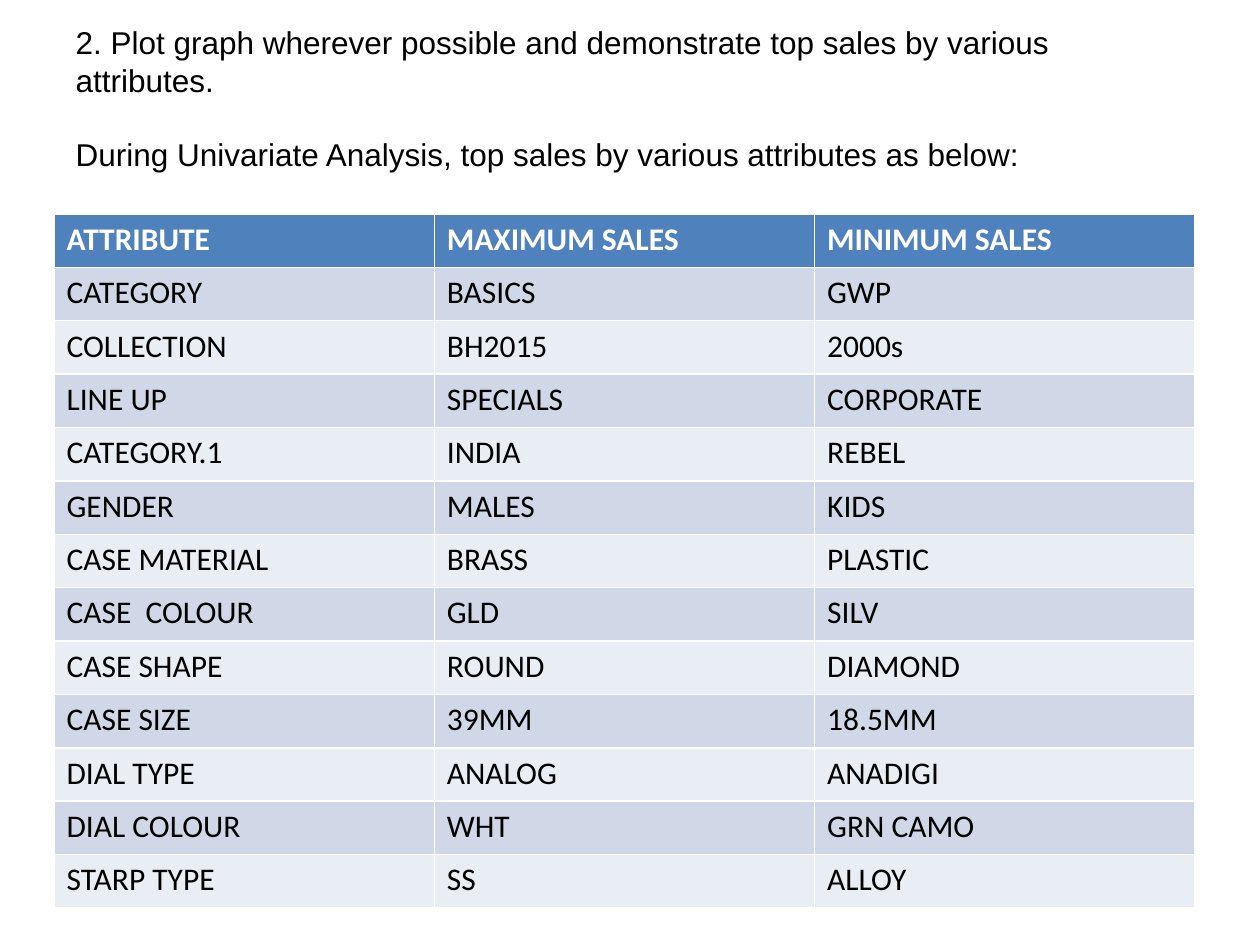
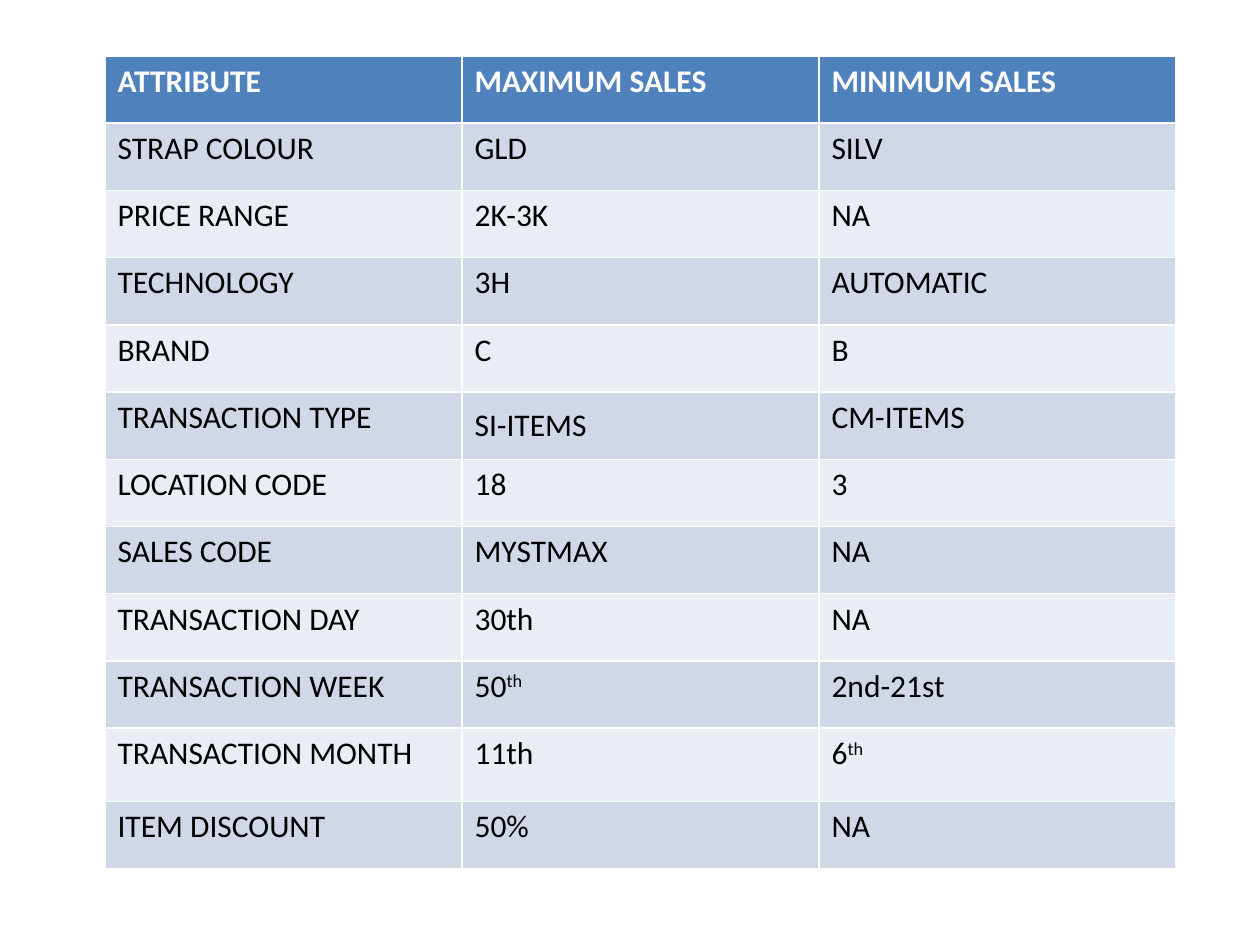
from dataclasses import dataclass
from pptx import Presentation
from pptx.dml.color import RGBColor
from pptx.enum.text import MSO_ANCHOR, MSO_AUTO_SIZE, PP_ALIGN
from pptx.util import Pt

PX = 914400 // 126


@dataclass(frozen=True)
class Theme:
    title_font: str = "Arial"
    table_font: str = "Calibri"
    size: int = 18
    ink: str = "000000"
    header_ink: str = "FFFFFF"
    header_fill: str = "4F81BD"
    bands: tuple = ("E9EDF4", "D0D8E8")


theme = Theme()


def add_run(paragraph, text, font, color, bold=False):
    run = paragraph.add_run()
    run.text = text
    run.font.name = font
    run.font.size = Pt(theme.size)
    run.font.color.rgb = RGBColor.from_string(color)
    run.font.bold = bold
    return run


def add_sales_table(slide, left, top, width, height, records, taller=None, extra=0):
    rows = [("ATTRIBUTE", "MAXIMUM SALES", "MINIMUM SALES")] + records
    table = slide.shapes.add_table(
        len(rows), 3, left * PX, top * PX, width * PX, height * PX).table
    for column in table.columns:
        column.width = width * PX // 3
    for index, record in enumerate(rows):
        header = index == 0
        table.rows[index].height = (height - extra) * PX // len(rows)
        if index == taller:
            table.rows[index].height += extra * PX
        fill = theme.header_fill if header else theme.bands[index % 2]
        ink = theme.header_ink if header else theme.ink
        for cell, value in zip(table.rows[index].cells, record):
            cell.fill.solid()
            cell.fill.fore_color.rgb = RGBColor.from_string(fill)
            base, _, ordinal = value.partition("^")
            paragraph = cell.text_frame.paragraphs[0]
            add_run(paragraph, base, theme.table_font, ink, header)
            if ordinal:
                suffix = add_run(paragraph, ordinal, theme.table_font, ink)
                suffix.font._element.set("baseline", "30000")
    return table


deck = Presentation()
deck.slide_width = 1260 * PX
deck.slide_height = 945 * PX

product_slide = deck.slides.add_slide(deck.slide_layouts[5])
title = product_slide.shapes.title
title.left, title.top, title.width, title.height = (
    length * PX for length in (63, 38, 1134, 157))
heading = title.text_frame
heading.word_wrap = True
heading.auto_size = MSO_AUTO_SIZE.NONE
heading.vertical_anchor = MSO_ANCHOR.MIDDLE
heading.margin_bottom = 43 * PX
question = heading.paragraphs[0]
answer = heading.add_paragraph()
answer.space_before = Pt(21)
for paragraph, sentence in (
    (question, "2. Plot graph wherever possible and demonstrate top sales by various attributes."),
    (answer, "During Univariate Analysis, top sales by various attributes as below:"),
):
    paragraph.alignment = PP_ALIGN.LEFT
    add_run(paragraph, sentence, theme.title_font, theme.ink)

product_sales = [
    ("CATEGORY", "BASICS", "GWP"),
    ("COLLECTION", "BH2015", "2000s"),
    ("LINE UP", "SPECIALS", "CORPORATE"),
    ("CATEGORY.1", "INDIA", "REBEL"),
    ("GENDER", "MALES", "KIDS"),
    ("CASE MATERIAL", "BRASS", "PLASTIC"),
    ("CASE  COLOUR", "GLD", "SILV"),
    ("CASE SHAPE", "ROUND", "DIAMOND"),
    ("CASE SIZE", "39MM", "18.5MM"),
    ("DIAL TYPE", "ANALOG", "ANADIGI"),
    ("DIAL COLOUR", "WHT", "GRN CAMO"),
    ("STARP TYPE", "SS", "ALLOY"),
]
add_sales_table(product_slide, 54, 214, 1141, 694, product_sales)

transaction_slide = deck.slides.add_slide(deck.slide_layouts[6])
transaction_sales = [
    ("STRAP COLOUR", "GLD", "SILV"),
    ("PRICE RANGE", "2K-3K", "NA"),
    ("TECHNOLOGY", "3H", "AUTOMATIC"),
    ("BRAND", "C", "B"),
    ("TRANSACTION TYPE", "SI-ITEMS", "CM-ITEMS"),
    ("LOCATION CODE", "18", "3"),
    ("SALES CODE", "MYSTMAX", "NA"),
    ("TRANSACTION DAY", "30th", "NA"),
    ("TRANSACTION WEEK", "50^th", "2nd-21st"),
    ("TRANSACTION MONTH", "11th", "6^th"),
    ("ITEM DISCOUNT", "50%", "NA"),
]
transactions = add_sales_table(
    transaction_slide, 105, 56, 1071, 813, transaction_sales, taller=10, extra=6)
transactions.cell(5, 1).vertical_anchor = MSO_ANCHOR.MIDDLE

deck.save("out.pptx")
